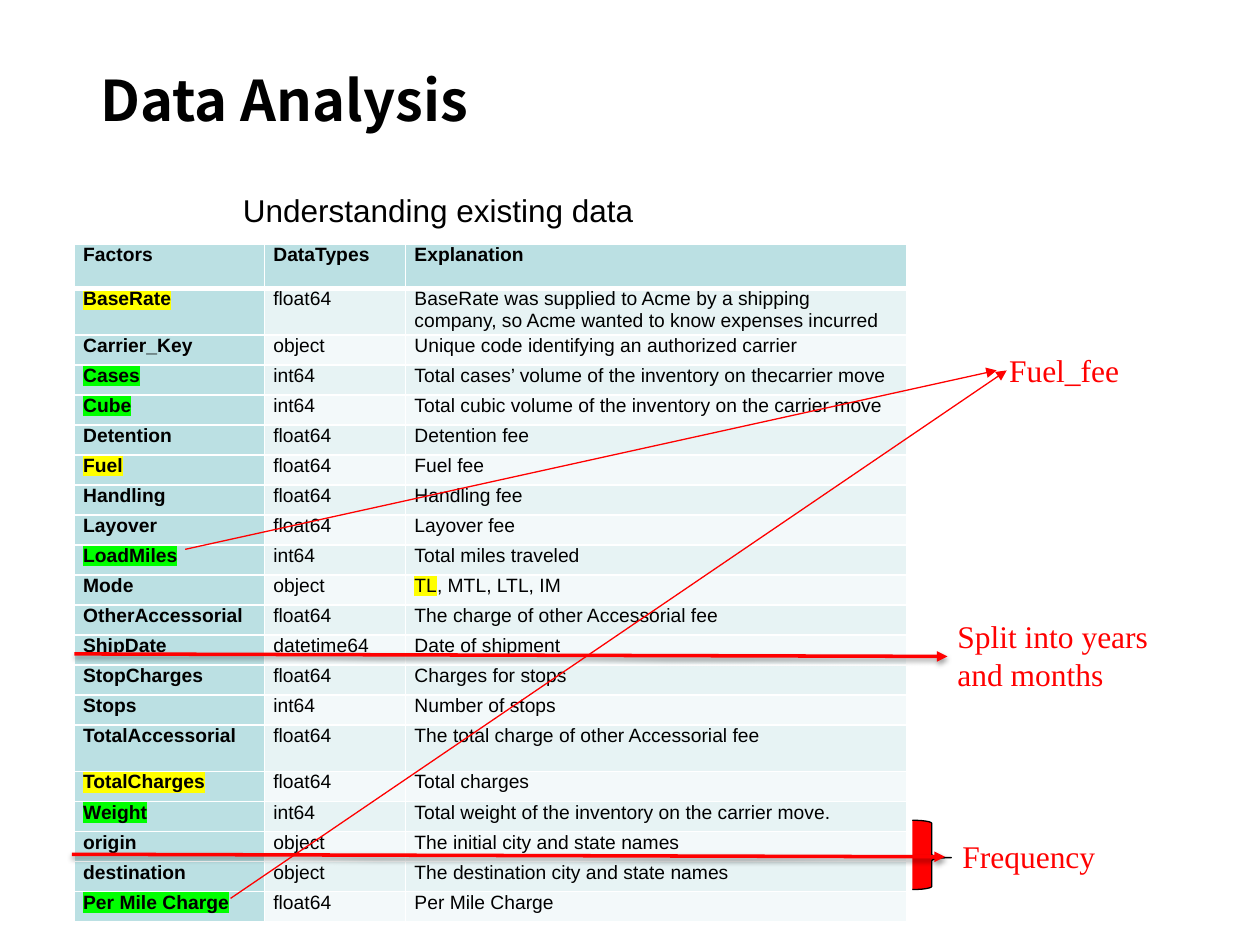
"""Build the Data Analysis slide: a table of shipping factors with red annotations."""
from dataclasses import dataclass

from lxml.etree import SubElement
from pptx import Presentation
from pptx.dml.color import RGBColor as RGB
from pptx.enum.shapes import MSO_CONNECTOR as CONN, MSO_SHAPE as SHAPE
from pptx.enum.text import MSO_AUTO_SIZE as AUTO
from pptx.oxml.ns import qn
from pptx.util import Inches, Pt


@dataclass(frozen=True)
class Theme:
    sans: str = "Arial"
    serif: str = "Times New Roman"
    heading: str = "Noto Sans CJK SC"
    title: float = 32
    body: float = 18
    cell: float = 11
    black: str = "000000"
    white: str = "FFFFFF"
    red: str = "FF0000"
    teal: str = "BBE0E3"
    bands: tuple[str, str] = ("E7F3F4", "F3F9FA")
    yellow: str = "FFFF00"
    green: str = "00FF00"


T = Theme()


@dataclass(frozen=True)
class Label:
    lines: tuple[str, ...]
    box: tuple[float, float, float, float]
    font: str = T.serif
    size: float = T.body
    color: str = T.red
    bold: bool = False


@dataclass(frozen=True)
class Arrow:
    start: tuple[float, float]
    end: tuple[float, float]
    width: float = 0.75
    shadow: bool = False


@dataclass(frozen=True)
class Factor:
    name: str
    dtype: str
    explanation: str
    mark: str = ""


HEADINGS = ("Factors", "DataTypes", "Explanation")
FACTORS = (
    Factor("BaseRate", "float64", "BaseRate was supplied to Acme by a shipping company, "
           "so Acme wanted to know expenses incurred", T.yellow),
    Factor("Carrier_Key", "object", "Unique code identifying an authorized carrier"),
    Factor("Cases", "int64", "Total cases’ volume of the inventory on thecarrier move", T.green),
    Factor("Cube", "int64", "Total cubic volume of the inventory on the carrier move", T.green),
    Factor("Detention", "float64", "Detention fee"),
    Factor("Fuel", "float64", "Fuel fee", T.yellow),
    Factor("Handling", "float64", "Handling fee"),
    Factor("Layover", "float64", "Layover fee"),
    Factor("LoadMiles", "int64", "Total miles traveled", T.green),
    Factor("Mode", "object", "TL, MTL, LTL, IM"),
    Factor("OtherAccessorial", "float64", "The charge of other Accessorial fee"),
    Factor("ShipDate", "datetime64", "Date of shipment"),
    Factor("StopCharges", "float64", "Charges for stops"),
    Factor("Stops", "int64", "Number of stops"),
    Factor("TotalAccessorial", "float64", "The total charge of other Accessorial fee"),
    Factor("TotalCharges", "float64", "Total charges", T.yellow),
    Factor("Weight", "int64", "Total weight of the inventory on the carrier move.", T.green),
    Factor("origin", "object", "The initial city and state names"),
    Factor("destination", "object", "The destination city and state names"),
    Factor("Per Mile Charge", "float64", "Per Mile Charge", T.green),
)
TABLE_BOX = (0.59, 1.94, 6.61, 5.37)
COLUMNS = (1.51, 1.12, 3.98)
TALL_ROWS = {0: 0.35, 1: 0.36, 15: 0.37}

HEADERS = (
    Label(("Understanding existing data",), (1.83, 1.47, 3.33, 0.4), T.sans, color=T.black),
    Label(("Data Analysis",), (0.7, 0.47, 3.38, 0.64), T.heading, T.title, T.black, True),
)
NOTES = (
    Label(("Frequency",), (7.54, 6.59, 1.27, 0.4)),
    Label(("Split into years", "and months"), (7.5, 4.85, 1.79, 0.71)),
    Label(("Fuel_fee",), (7.91, 2.74, 1.09, 0.4)),
)
ARROWS = (
    Arrow((0.57, 6.78), (7.5, 6.8), 2, True),
    Arrow((0.59, 5.19), (7.52, 5.21), 2, True),
    Arrow((1.47, 4.36), (7.91, 2.94)),
    Arrow((1.83, 7.13), (7.99, 2.94)),
)


def style(p, font: str, size: float, color: str, bold: bool) -> None:
    """Set the font of a whole paragraph."""
    p.font.name, p.font.size, p.font.bold = font, Pt(size), bold
    p.font.color.rgb = RGB.from_string(color)


def add_label(slide, label: Label) -> None:
    """Draw an unwrapped text box with one paragraph a line."""
    tf = slide.shapes.add_textbox(*map(Inches, label.box)).text_frame
    tf.word_wrap, tf.auto_size = False, AUTO.SHAPE_TO_FIT_TEXT
    tf.text = "\n".join(label.lines)
    for p in tf.paragraphs:
        style(p, label.font, label.size, label.color, label.bold)


def add_color(parent, color: str):
    """Append an RGB colour element."""
    return SubElement(parent, qn("a:srgbClr"), val=color)


def fill_cell(cell, runs: list[tuple[str, str]], fill: str, bold: bool, top: int, bottom: int) -> None:
    """Write highlighted runs into a cell and set its borders and fill."""
    cell.margin_left = cell.margin_right = Inches(0.07)
    cell.margin_top = cell.margin_bottom = 0
    p = cell.text_frame.paragraphs[0]
    style(p, T.sans, T.cell, T.black, bold)
    for text, mark in runs:
        r = p.add_run()
        r.text = text
        if mark:
            add_color(SubElement(r.font._element, qn("a:highlight")), mark)
    tc_pr = cell._tc.get_or_add_tcPr()
    for side, width in (("L", 1), ("R", 1), ("T", top), ("B", bottom)):
        ln = SubElement(tc_pr, qn(f"a:ln{side}"), w=str(Pt(width)))
        add_color(SubElement(ln, qn("a:solidFill")), T.white)
    cell.fill.solid()
    cell.fill.fore_color.rgb = RGB.from_string(fill)


def add_factor_table(slide) -> None:
    """Draw the table of factors with a shaded first column and banded rows."""
    count = len(FACTORS) + 1
    table = slide.shapes.add_table(count, len(COLUMNS), *map(Inches, TABLE_BOX)).table
    table.first_row = table.horz_banding = False
    for col, width in zip(table.columns, COLUMNS):
        col.width = Inches(width)
    normal = (TABLE_BOX[3] - sum(TALL_ROWS.values())) / (count - len(TALL_ROWS))
    for i, row in enumerate(table.rows):
        row.height = Inches(TALL_ROWS.get(i, normal))
    for j, heading in enumerate(HEADINGS):
        fill_cell(table.cell(0, j), [(heading, "")], T.teal, True, 1, 3)
    for i, factor in enumerate(FACTORS, 1):
        band, top = T.bands[(i - 1) % 2], 3 if i == 1 else 1
        explanation = [(factor.explanation, "")]
        if factor.name == "Mode":
            explanation = [("TL", T.yellow), (factor.explanation.removeprefix("TL"), "")]
        fill_cell(table.cell(i, 0), [(factor.name, factor.mark)], T.teal, True, top, 1)
        fill_cell(table.cell(i, 1), [(factor.dtype, "")], band, False, top, 1)
        fill_cell(table.cell(i, 2), explanation, band, False, top, 1)


def add_arrow(slide, arrow: Arrow) -> None:
    """Draw a red arrow, with a soft shadow where asked."""
    line = slide.shapes.add_connector(CONN.STRAIGHT, *map(Inches, arrow.start + arrow.end))
    line.line.width = Pt(arrow.width)
    line.line.color.rgb = RGB.from_string(T.red)
    SubElement(line.line._get_or_add_ln(), qn("a:tailEnd"), type="triangle")
    effects = SubElement(line._element.spPr, qn("a:effectLst"))
    if arrow.shadow:
        shadow = SubElement(effects, qn("a:outerShdw"), blurRad=str(Pt(3.1)), dist=str(Pt(1.6)),
                            dir="5400000", rotWithShape="0")
        SubElement(add_color(shadow, T.black), qn("a:alpha"), val="38000")


def add_brace(slide) -> None:
    """Draw the red brace beside the origin and destination rows."""
    sp = slide.shapes.add_shape(SHAPE.RIGHT_BRACE, *map(Inches, (7.24, 6.51, 0.31, 0.55)))
    sp.adjustments[0], sp.adjustments[1] = 0.08, 0.54
    sp.shadow.inherit = False
    sp.fill.solid()
    sp.fill.fore_color.rgb = RGB.from_string(T.red)
    sp.line.color.rgb = RGB.from_string(T.black)
    sp.line.width = Pt(0.75)


def main() -> None:
    """Build and save the slide."""
    prs = Presentation()
    prs.slide_width, prs.slide_height = Inches(10), Inches(7.5)
    slide = prs.slides.add_slide(prs.slide_layouts[6])
    for label in HEADERS:
        add_label(slide, label)
    add_factor_table(slide)
    add_brace(slide)
    for arrow in ARROWS:
        add_arrow(slide, arrow)
    for label in NOTES:
        add_label(slide, label)
    prs.save("out.pptx")


if __name__ == "__main__":
    main()
